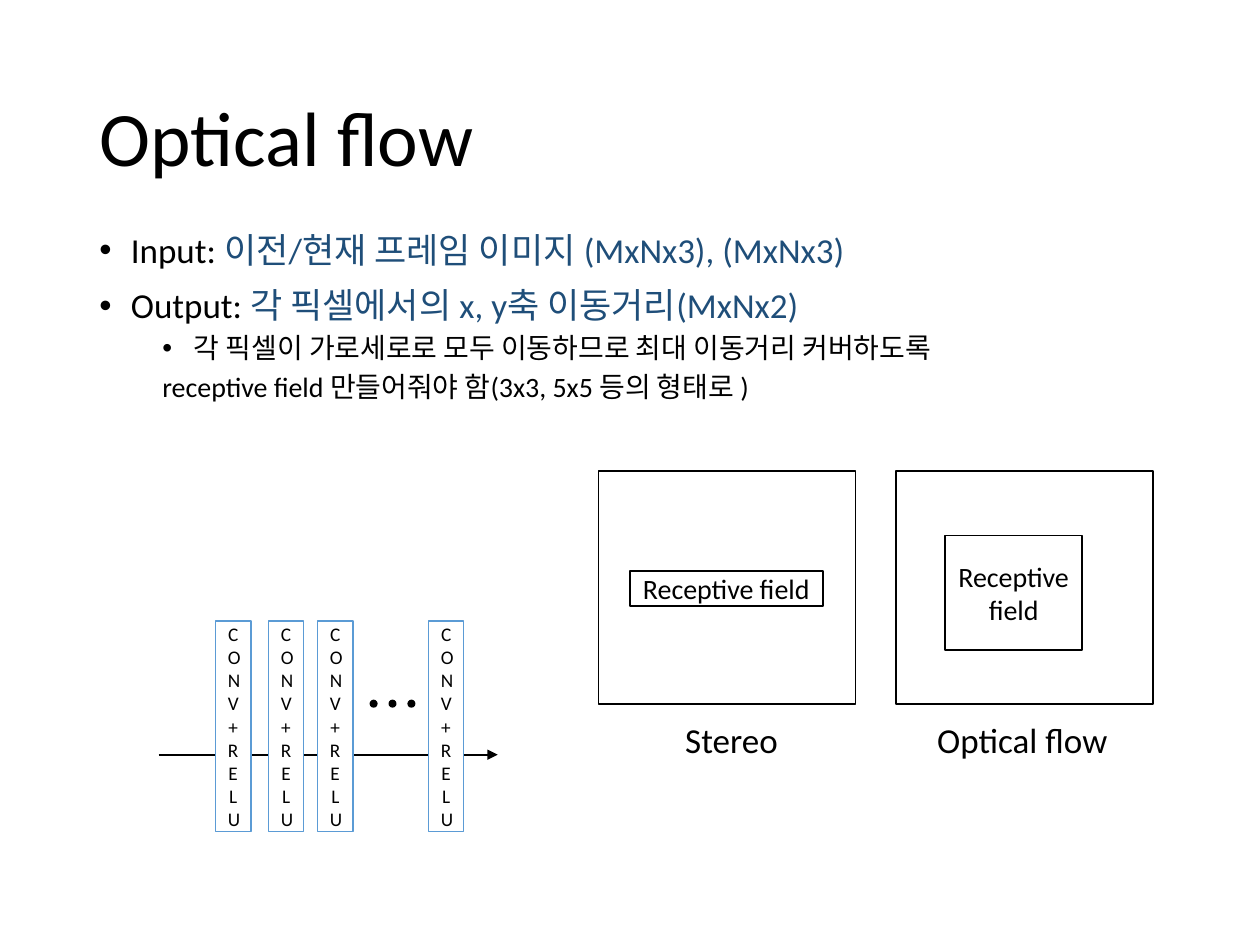
"""Build the optical flow slide with its network sketch and receptive field comparison."""
from dataclasses import dataclass

from lxml.etree import SubElement
from pptx import Presentation
from pptx.dml.color import RGBColor
from pptx.enum.shapes import MSO_CONNECTOR as Connector, MSO_SHAPE as Shape
from pptx.enum.text import MSO_ANCHOR as Anchor, PP_ALIGN as Align
from pptx.oxml.ns import qn
from pptx.util import Inches, Pt


@dataclass(frozen=True)
class Theme:
    font: str = "Calibri"
    black: str = "000000"
    white: str = "FFFFFF"
    navy: str = "1F4E79"
    blue: str = "5B9BD5"
    title: int = 44
    body: int = 20
    detail: int = 16
    layer: int = 11
    line: int = 1
    spacing: float = 0.9


THEME = Theme()

TITLE = "Optical flow"
# (text, colour) runs, size, level, left margin, indent, bullet, space before
POINTS = [
    ([("Input:", THEME.black), (" 이전/현재 프레임 이미지 (MxNx3), (MxNx3)", THEME.navy)],
     THEME.body, 0, 0.25, -0.25, "•", 0),
    ([("Output: ", THEME.black), ("각 픽셀에서의 x, y축 이동거리(MxNx2)", THEME.navy)],
     THEME.body, 0, 0.25, -0.25, "•", 10),
    ([("각 픽셀이 가로세로로 모두 이동하므로 최대 이동거리 커버하도록", THEME.black)],
     THEME.detail, 1, 0.75, -0.25, "•", 5),
    ([("receptive field 만들어줘야 함(3x3, 5x5 등의 형태로 )", THEME.black)],
     THEME.detail, 1, 0.5, 0, None, 5),
]
LAYER = "CONV+RELU"
LAYER_LEFTS = [1.71, 2.13, 2.52, 3.4]
FIELD = "Receptive field"
COMPARISON = [
    {"label": "Stereo", "left": 4.75, "field": (5, 4.53, 1.53, 0.28), "caption": (5.34, 1.33)},
    {"label": "Optical flow", "left": 7.11, "field": (7.5, 4.25, 1.09, 0.91), "caption": (7.34, 1.57)},
]


def style(font, size, color=THEME.black):
    font.name = THEME.font
    font.size = Pt(size)
    font.color.rgb = RGBColor.from_string(color)


def add_frame(slide, box, anchor=Anchor.TOP):
    frame = slide.shapes.add_textbox(*map(Inches, box)).text_frame
    frame.word_wrap = True
    frame.vertical_anchor = anchor
    return frame


def add_label(slide, box, text, size, anchor=Anchor.TOP):
    frame = add_frame(slide, box, anchor)
    frame.text = text
    frame.paragraphs[0].line_spacing = THEME.spacing
    style(frame.paragraphs[0].runs[0].font, size)


def add_points(slide, box):
    frame = add_frame(slide, box)
    for index, (runs, size, level, margin, indent, bullet, before) in enumerate(POINTS):
        point = frame.add_paragraph() if index else frame.paragraphs[0]
        point.level = level
        point.line_spacing = THEME.spacing
        point.space_before = Pt(before)
        properties = point._p.get_or_add_pPr()
        properties.set("marL", str(Inches(margin)))
        properties.set("indent", str(Inches(indent)))
        if bullet:
            SubElement(properties, qn("a:buFont"), typeface="Arial")
            SubElement(properties, qn("a:buChar"), char=bullet)
        else:
            SubElement(properties, qn("a:buNone"))
        for text, color in runs:
            run = point.add_run()
            run.text = text
            style(run.font, size, color)


def add_block(slide, kind, box, fill=THEME.white, outline=THEME.black, text="", size=THEME.detail):
    block = slide.shapes.add_shape(kind, *map(Inches, box))
    block.shadow.inherit = False
    block.fill.solid()
    block.fill.fore_color.rgb = RGBColor.from_string(fill)
    block.line.color.rgb = RGBColor.from_string(outline)
    block.line.width = Pt(THEME.line)
    if text:
        frame = block.text_frame
        frame.word_wrap = True
        frame.vertical_anchor = Anchor.MIDDLE
        frame.text = text
        frame.paragraphs[0].alignment = Align.CENTER
        style(frame.paragraphs[0].runs[0].font, size)


def add_arrow(slide, start, end):
    arrow = slide.shapes.add_connector(Connector.STRAIGHT, *map(Inches, start + end))
    arrow.line.color.rgb = RGBColor.from_string(THEME.black)
    arrow.line.width = Pt(THEME.line)
    SubElement(arrow.line._get_or_add_ln(), qn("a:tailEnd"), type="triangle")
    SubElement(arrow._element.spPr, qn("a:effectLst"))


def add_network(slide):
    add_arrow(slide, (1.26, 5.99), (3.95, 5.99))
    for left in LAYER_LEFTS:
        add_block(slide, Shape.RECTANGLE, (left, 4.93, 0.28, 1.67),
                  outline=THEME.blue, text=LAYER, size=THEME.layer)
    for step in range(3):
        add_block(slide, Shape.OVAL, (2.94 + 0.15 * step, 5.56, 0.05, 0.05), fill=THEME.black)


def add_comparison(slide):
    for case in COMPARISON:
        add_block(slide, Shape.RECTANGLE, (case["left"], 3.74, 2.04, 1.85))
        add_block(slide, Shape.RECTANGLE, case["field"], text=FIELD)
        left, width = case["caption"]
        add_label(slide, (left, 5.69, width, 0.43), case["label"], THEME.body)


def main():
    deck = Presentation()
    deck.slide_width, deck.slide_height = Inches(10), Inches(7.5)
    slide = deck.slides.add_slide(deck.slide_layouts[6])
    add_label(slide, (0.69, 0.4, 8.62, 1.45), TITLE, THEME.title, Anchor.MIDDLE)
    add_points(slide, (0.69, 1.8, 8.62, 2.24))
    add_network(slide)
    add_comparison(slide)
    deck.save("out.pptx")


if __name__ == "__main__":
    main()
